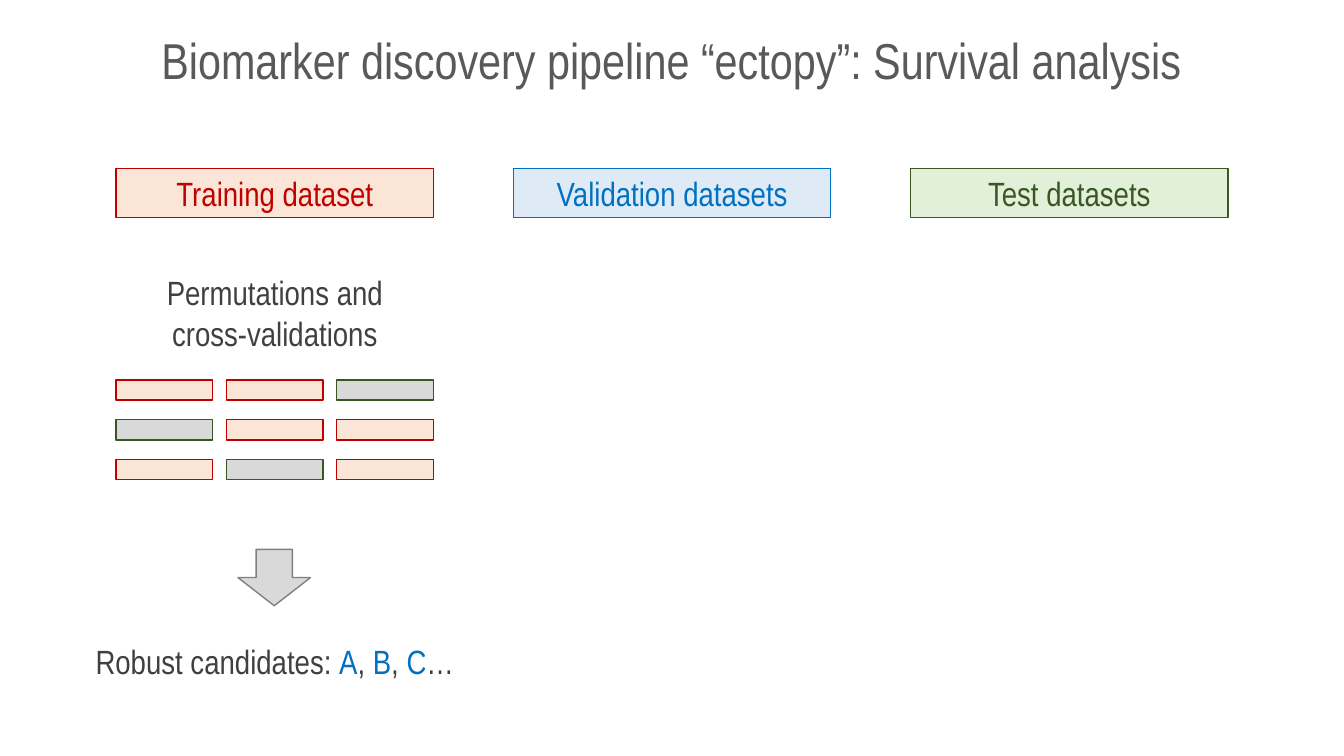
from pptx import Presentation
from pptx.util import Inches, Pt
from pptx.dml.color import RGBColor as RGB
from pptx.enum.shapes import MSO_SHAPE as SHAPE
from pptx.enum.text import MSO_ANCHOR as ANCHOR, PP_ALIGN as ALIGN

COLORS = {
    "red": "C00000", "blue": "0070C0", "green": "385723",
    "peach": "FBE5D6", "sky": "DEEBF7", "mint": "E2F0D9",
    "silver": "D9D9D9", "gray": "808080", "title": "595959", "text": "404040",
}


def add_box(kind, left, top, width, height, fill, line):
    box = slide.shapes.add_shape(
        kind, Inches(left), Inches(top), Inches(width), Inches(height))
    box.shadow.inherit = False
    box.fill.solid()
    box.fill.fore_color.rgb = RGB.from_string(COLORS[fill])
    box.line.color.rgb = RGB.from_string(COLORS[line])
    box.line.width = Pt(1)
    return box


def write(shape, runs, size=24, wrap=True):
    frame = shape.text_frame
    frame.word_wrap = wrap
    para = frame.paragraphs[0]
    para.alignment = ALIGN.CENTER
    para.font.name = "Arial Narrow"
    para.font.size = Pt(size)
    for text, color in runs:
        run = para.add_run()
        run.text = text
        run.font.color.rgb = RGB.from_string(COLORS[color])


deck = Presentation()
deck.slide_width, deck.slide_height = Inches(13.33), Inches(7.5)
slide = deck.slides.add_slide(deck.slide_layouts[6])

datasets = [
    ("Training dataset", "peach", "red"),
    ("Validation datasets", "sky", "blue"),
    ("Test datasets", "mint", "green"),
]
for col, (name, fill, line) in enumerate(datasets):
    box = add_box(SHAPE.RECTANGLE, 1.15 + 3.94 * col, 1.67, 3.15, 0.49, fill, line)
    box.text_frame.vertical_anchor = ANCHOR.MIDDLE
    write(box, [(name, line)])

for row, held in enumerate([2, 0, 1]):
    for col in range(3):
        fill, line = ("silver", "green") if col == held else ("peach", "red")
        add_box(SHAPE.RECTANGLE, 1.15 + 1.095 * col, 3.77 + 0.395 * row,
                0.96, 0.2, fill, line)

add_box(SHAPE.DOWN_ARROW, 2.36, 5.45, 0.72, 0.56, "silver", "gray")

labels = [
    (1.16, 0.24, 11, 0.71, 36, True,
     [("Biomarker discovery pipeline “ectopy”: Survival analysis", "title")]),
    (1.15, 2.65, 3.15, 0.91, 24, True,
     [("Permutations and cross-validations", "text")]),
    (0.83, 6.31, 3.79, 0.5, 24, False,
     [("Robust candidates: ", "text"), ("A", "blue"), (", ", "text"),
      ("B", "blue"), (", ", "text"), ("C", "blue"), ("…", "text")]),
]
for left, top, width, height, size, wrap, runs in labels:
    label = slide.shapes.add_textbox(
        Inches(left), Inches(top), Inches(width), Inches(height))
    write(label, runs, size, wrap)

deck.save("out.pptx")
